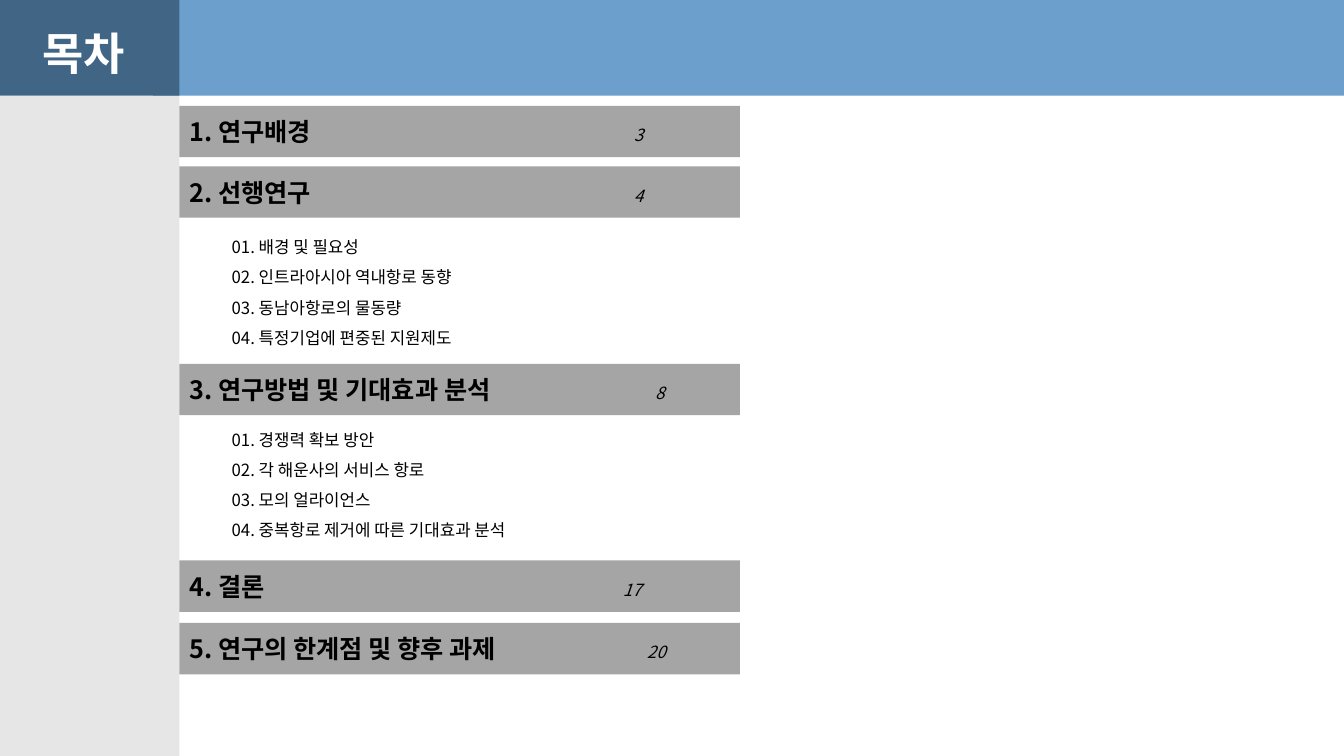
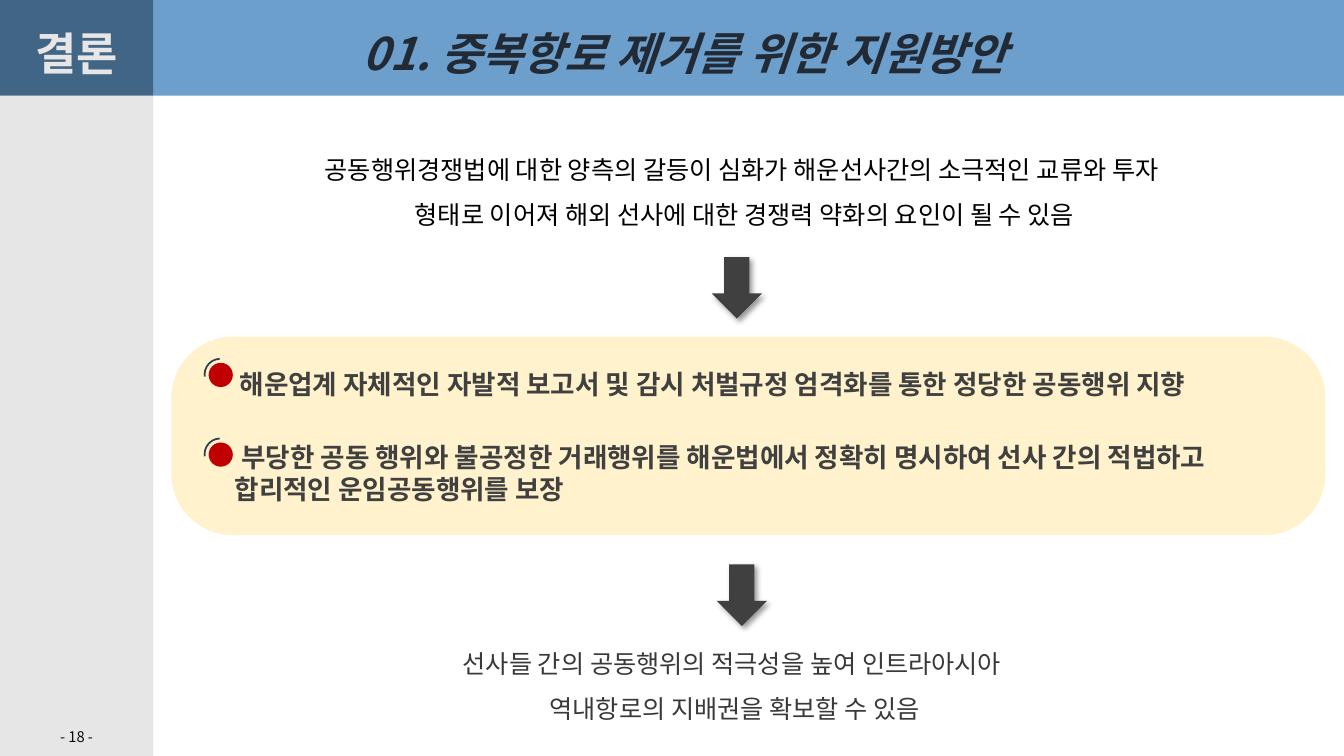
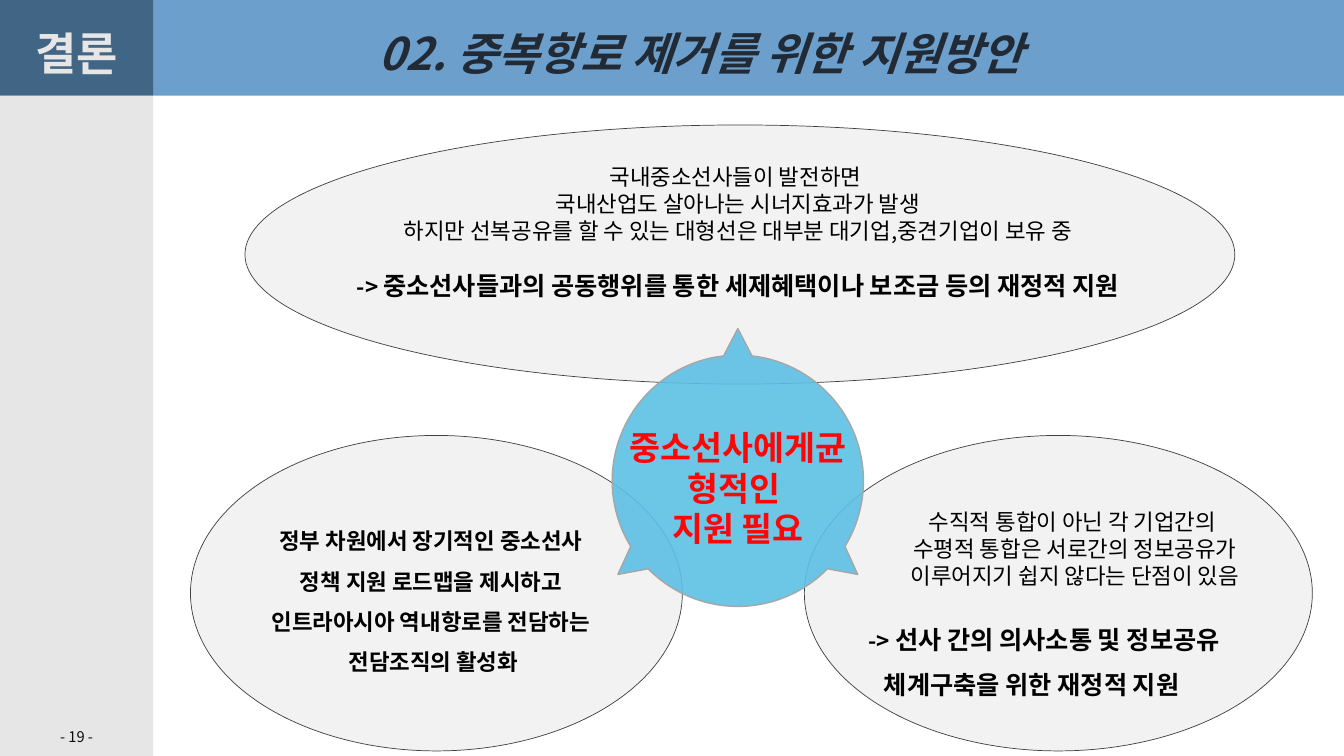
import math
from dataclasses import dataclass
from typing import NamedTuple, Optional

import pptx
import pptx.dml.color
import pptx.enum.shapes
import pptx.enum.text
import pptx.oxml
import pptx.oxml.ns
import pptx.util

SLIDE_WIDTH = pptx.util.Inches(13.33)
SLIDE_HEIGHT = pptx.util.Inches(7.5)
COLUMNS = 40
ROWS = 22.5
FONT = "Noto Sans CJK KR"
BLACK, WHITE, CHARCOAL = "000000", "FFFFFF", "404040"
BAND, TAB, SIDEBAR, BAR = "6C9FCC", "416585", "E6E6E6", "A5A5A5"
BAND_LEFT, BAND_HEIGHT = 4.56, 2.85
SHAPES = pptx.enum.shapes.MSO_SHAPE
ALIGN = pptx.enum.text.PP_ALIGN
ANCHOR = pptx.enum.text.MSO_ANCHOR


class Box(NamedTuple):
    left: float
    top: float
    width: float
    height: float


@dataclass(frozen=True)
class Run:
    text: str
    size: float = 18
    color: str = BLACK
    bold: bool = False
    italic: bool = False


@dataclass(frozen=True)
class Paragraph:
    runs: list[Run]
    centered: bool = False
    spacing: Optional[float] = None
    space_before: float = 0
    first_line: float = 0
    tab: float = 0


@dataclass(frozen=True)
class Section:
    title: str
    page: str
    top: float
    tab: float
    topics: tuple[str, ...] = ()
    topics_top: float = 0


SECTIONS = [
    Section("1. 연구배경", "3", 3.15, 13.23),
    Section("2. 선행연구", "4", 4.95, 13.23,
            ("01. 배경 및 필요성", "02. 인트라아시아 역내항로 동향",
             "03. 동남아항로의 물동량", "04. 특정기업에 편중된 지원제도"), 6.6),
    Section("3. 연구방법 및 기대효과 분석", "8", 10.83, 13.86,
            ("01. 경쟁력 확보 방안", "02. 각 해운사의 서비스 항로",
             "03. 모의 얼라이언스", "04. 중복항로 제거에 따른 기대효과 분석"), 12.33),
    Section("4. 결론", "17", 16.68, 12.9),
    Section("5. 연구의 한계점 및 향후 과제", "20", 18.54, 13.62),
]


def color(value: str) -> pptx.dml.color.RGBColor:
    return pptx.dml.color.RGBColor.from_string(value)


def across(columns: float) -> int:
    return round(SLIDE_WIDTH * columns / COLUMNS)


def down(rows: float) -> int:
    return round(SLIDE_HEIGHT * rows / ROWS)


def place(box: Box) -> tuple[int, int, int, int]:
    return across(box.left), down(box.top), across(box.width), down(box.height)


def element(parent, tag: str, **attributes):
    child = parent.makeelement(pptx.oxml.ns.qn(tag), {})
    for name, value in attributes.items():
        child.set(name, str(value))
    parent.append(child)
    return child


def paint(shape, fill: Optional[str], line: Optional[str] = None, weight: float = 1) -> None:
    shape.shadow.inherit = False
    if fill:
        shape.fill.solid()
        shape.fill.fore_color.rgb = color(fill)
    else:
        shape.fill.background()
    if line:
        shape.line.color.rgb = color(line)
        shape.line.width = pptx.util.Pt(weight)
    else:
        shape.line.fill.background()


def add_figure(slide, kind, box: Box, fill: Optional[str],
               line: Optional[str] = None, weight: float = 1):
    shape = slide.shapes.add_shape(kind, *place(box))
    paint(shape, fill, line, weight)
    return shape


def write(shape, paragraphs: list[Paragraph], anchor=ANCHOR.TOP) -> None:
    frame = shape.text_frame
    frame.word_wrap = True
    frame.vertical_anchor = anchor
    for index, content in enumerate(paragraphs):
        paragraph = frame.add_paragraph() if index else frame.paragraphs[0]
        paragraph.alignment = ALIGN.CENTER if content.centered else ALIGN.LEFT
        if content.spacing:
            paragraph.line_spacing = content.spacing
        if content.space_before:
            paragraph.space_before = pptx.util.Pt(content.space_before)
        properties = paragraph._p.get_or_add_pPr()
        if content.first_line:
            properties.set("marL", "0")
            properties.set("indent", str(across(content.first_line)))
        if content.tab:
            stops = element(properties, "a:tabLst")
            element(stops, "a:tab", pos=across(content.tab), algn="l")
        for part in content.runs:
            run = paragraph.add_run()
            run.text = part.text
            run.font.name = FONT
            run.font.size = pptx.util.Pt(part.size)
            run.font.bold = part.bold
            run.font.italic = part.italic
            run.font.color.rgb = color(part.color)
            element(run.font._element, "a:ea", typeface=FONT)


def add_text(slide, box: Box, paragraphs: list[Paragraph]) -> None:
    write(slide.shapes.add_textbox(*place(box)), paragraphs)


def lines(texts, size: float, spacing: Optional[float] = None, centered: bool = True,
          ink: str = BLACK, bold: bool = False) -> list[Paragraph]:
    return [Paragraph([Run(text, size, ink, bold)], centered, spacing) for text in texts]


def add_frame(presentation, label: str, ink: str, tab_width: float, label_width: float):
    slide = presentation.slides.add_slide(presentation.slide_layouts[6])
    for box, fill in (
        (Box(0, BAND_HEIGHT, tab_width, ROWS - BAND_HEIGHT), SIDEBAR),
        (Box(BAND_LEFT, 0, COLUMNS - BAND_LEFT, BAND_HEIGHT), BAND),
        (Box(0, 0, tab_width, BAND_HEIGHT), TAB),
    ):
        add_figure(slide, SHAPES.RECTANGLE, box, fill)
    add_text(slide, Box(0, 0.63, label_width, 1.92), lines([label], 32, ink=ink, bold=True))
    return slide


def add_conclusion(presentation, title: str, title_left: float, page: int):
    slide = add_frame(presentation, "결론", "E7E6E6", BAND_LEFT, BAND_LEFT)
    add_text(slide, Box(title_left, 0.63, 23.85, 1.92),
             [Paragraph([Run(title, 32, "222A35", True, True)])])
    add_text(slide, Box(0, 21.51, BAND_LEFT, 0.87), lines([f"- {page} -"], 10.5, ink="0D0D0D"))
    return slide


def add_down_arrow(slide, left: float, top: float) -> None:
    shape = add_figure(slide, SHAPES.DOWN_ARROW, Box(left, top, 1.5, 1.83), CHARCOAL)
    effects = shape._element.spPr.find(pptx.oxml.ns.qn("a:effectLst"))
    shadow = element(effects, "a:outerShdw", blurRad=pptx.util.Pt(4), dist=pptx.util.Pt(3),
                     dir=45 * 60000, algn="tl", rotWithShape=0)
    element(element(shadow, "a:srgbClr", val=BLACK), "a:alpha", val=40000)


def add_bullet(slide, left: float, top: float) -> None:
    add_figure(slide, SHAPES.OVAL, Box(left, top, 0.72, 0.72), "C00000")
    arc = add_figure(slide, SHAPES.ARC, Box(left - 0.12, top - 0.12, 0.93, 0.93),
                     None, "333F50", 1.25)
    for index, degrees in enumerate((172, 268)):
        arc.adjustments[index] = degrees * 0.6


def add_pointed_circle(slide, center: tuple[float, float], radius: float, reach: float):
    def point(degrees: float, distance: float) -> tuple[int, int]:
        angle = math.radians(degrees)
        return (across(center[0] + distance * math.cos(angle)),
                down(center[1] + distance * math.sin(angle)))

    tips = (-90, 38, 142)
    half_base, steps = 6.5, 40
    outline = []
    for tip, following in zip(tips, (*tips[1:], tips[0] + 360)):
        outline.append(point(tip, reach))
        start, end = tip + half_base, following - half_base
        outline += [point(start + (end - start) * step / steps, radius)
                    for step in range(steps + 1)]
    builder = slide.shapes.build_freeform(*outline[0], scale=1.0)
    builder.add_line_segments(outline[1:], close=True)
    shape = builder.convert_to_shape()
    paint(shape, "5DC0E4", "A6A6A6", 1)
    fill = shape._element.spPr.find(pptx.oxml.ns.qn("a:solidFill"))
    element(fill[0], "a:alpha", val=90000)
    return shape


def build_contents(presentation) -> None:
    slide = add_frame(presentation, "목차", WHITE, 5.34, 4.98)
    for section in SECTIONS:
        bar = add_figure(slide, SHAPES.RECTANGLE, Box(5.34, section.top, 16.68, 1.53), BAR)
        heading = [Run(section.title + "\t", bold=True), Run(section.page, 12, italic=True)]
        write(bar, [Paragraph(heading, tab=section.tab)], ANCHOR.MIDDLE)
        if section.topics:
            add_text(slide, Box(6.6, section.topics_top, 14.16, 3.81),
                     lines(section.topics, 12, 1.5, centered=False))


def build_joint_action(presentation) -> None:
    slide = add_conclusion(presentation, "01. 중복항로 제거를 위한 지원방안", 10.5, 18)
    panel = add_figure(slide, SHAPES.ROUNDED_RECTANGLE, Box(5.1, 10.02, 34.35, 5.91), "FFF2CC")
    panel.adjustments[0] = 0.31
    add_text(slide, Box(7.29, 3.99, 29.73, 2.85), lines(
        ["공동행위경쟁법에 대한 양측의 갈등이 심화가 해운선사간의 소극적인 교류와 투자 ",
         "형태로 이어져 해외 선사에 대한 경쟁력 약화의 요인이 될 수 있음"], 18, 1.5))
    measures = (
        (Box(6.84, 10.8, 32.16, 1.26), 0, 10.8,
         "해운업계 자체적인 자발적 보고서 및 감시 처벌규정 엄격화를 통한 정당한 공동행위 지향"),
        (Box(6.69, 12.99, 31.62, 2.22), 0.2, 13.17,
         "부당한 공동 행위와 불공정한 거래행위를 해운법에서 정확히 명시하여 "
         "선사 간의 적법하고 합리적인 운임공동행위를 보장"),
    )
    for box, first_line, bullet_top, text in measures:
        add_text(slide, box, [Paragraph([Run(text, 19, CHARCOAL, True)], first_line=first_line)])
        add_bullet(slide, 6.21, bullet_top)
    add_down_arrow(slide, 21.18, 7.65)
    add_down_arrow(slide, 21.33, 16.8)
    add_text(slide, Box(6.78, 18.7, 30.18, 2.9), lines(
        ["선사들 간의 공동행위의 적극성을 높여 인트라아시아 ",
         "역내항로의 지배권을 확보할 수 있음"], 18, 1.5, ink="3B3838"))


def build_balanced_support(presentation) -> None:
    slide = add_conclusion(presentation, "02. 중복항로 제거를 위한 지원방안", 10.98, 19)
    for box in (Box(23.94, 12.96, 15.12, 9.39), Box(7.29, 3.72, 29.46, 7.71),
                Box(5.67, 12.96, 14.64, 9.39)):
        add_figure(slide, SHAPES.OVAL, box, "F2F2F2", CHARCOAL, 0.5)
    hub = add_pointed_circle(slide, (21.96, 14.31), 3.74, 4.53)
    write(hub, lines(["중소선사에게균형적인 ", "지원 필요"], 24, ink="FF0505", bold=True),
          ANCHOR.MIDDLE)
    hub.text_frame.margin_top = down(1.35)
    add_text(slide, Box(6.72, 15.15, 12.36, 5.82), lines(
        ["정부 차원에서 장기적인 중소선사 ", "정책 지원 로드맵을 제시하고 ",
         "인트라아시아 역내항로를 전담하는 ", "전담조직의 활성화"], 16, 1.5, bold=True))
    pointer = Run("-> ", 16, bold=True)
    funding = Run("중소선사들과의 공동행위를 통한 세제혜택이나 보조금 등의 재정적 지원", bold=True)
    add_text(slide, Box(8.88, 4.71, 26.16, 4.44), [
        *lines(["국내중소선사들이 발전하면 ", "국내산업도 살아나는 시너지효과가 발생",
                "하지만 선복공유를 할 수 있는 대형선은 대부분 대기업,중견기업이 보유 중"], 16),
        Paragraph([pointer, funding], centered=True, space_before=19),
    ])
    add_text(slide, Box(25.95, 14.97, 12.09, 2.73), lines(
        ["수직적 통합이 아닌 각 기업간의 ",
         "수평적 통합은 서로간의 정보공유가 이루어지기 쉽지 않다는 단점이 있음"], 16))
    add_text(slide, Box(25.56, 17.97, 13.98, 2.85), [
        Paragraph([pointer, Run("선사 간의 의사소통 및 정보공유", bold=True)], spacing=1.5),
        Paragraph([Run("체계구축을 위한 재정적 지원", bold=True)], spacing=1.5, first_line=0.45),
    ])


def main() -> None:
    presentation = pptx.Presentation()
    presentation.slide_width = SLIDE_WIDTH
    presentation.slide_height = SLIDE_HEIGHT
    build_contents(presentation)
    build_joint_action(presentation)
    build_balanced_support(presentation)
    presentation.save("out.pptx")


if __name__ == "__main__":
    main()
